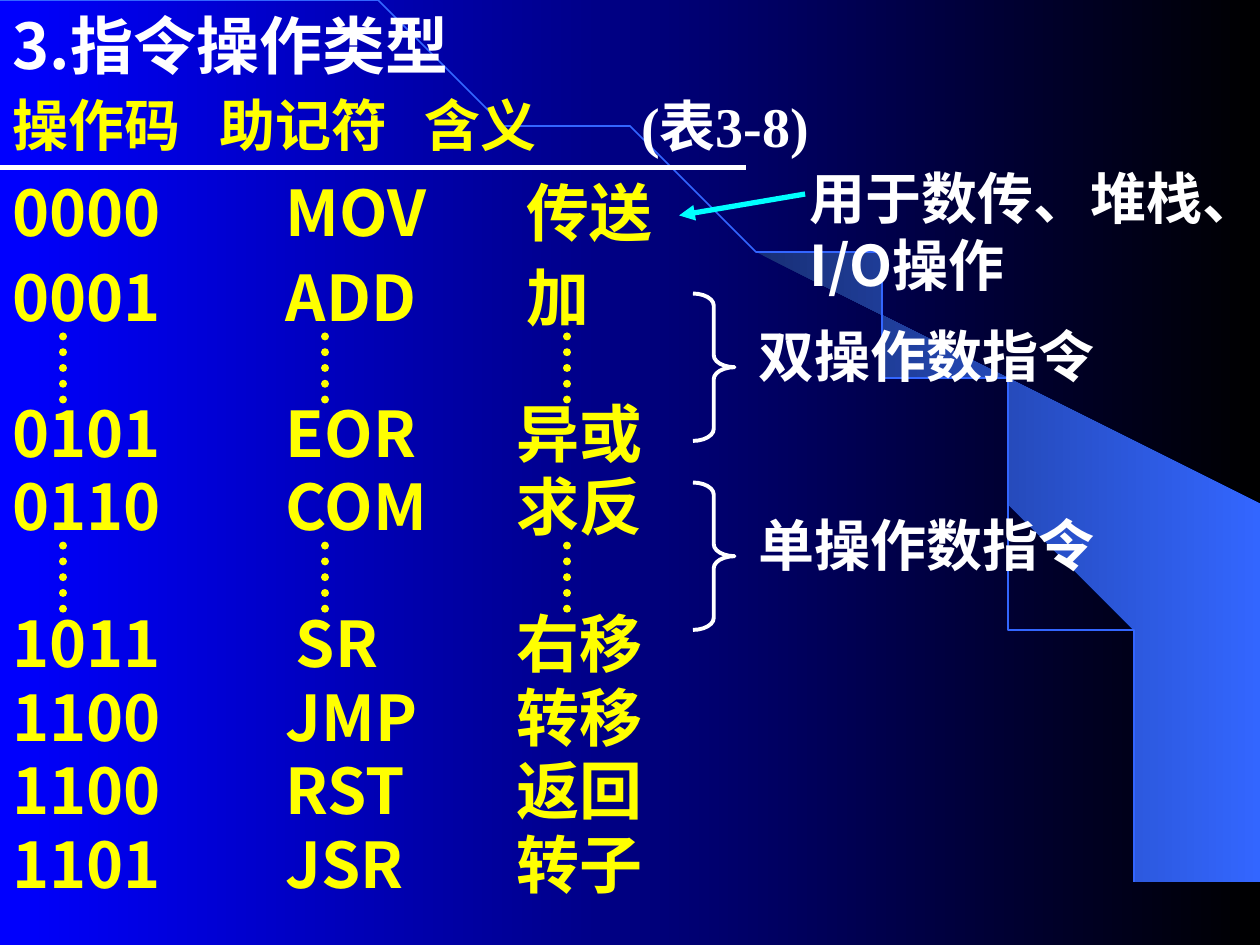
from math import cos, pi, sin

from lxml.etree import SubElement
from pptx import Presentation
from pptx.dml.color import RGBColor
from pptx.enum.dml import MSO_LINE
from pptx.enum.shapes import MSO_CONNECTOR as CONNECTOR, MSO_SHAPE as SHAPE
from pptx.enum.text import MSO_ANCHOR, PP_ALIGN
from pptx.oxml.ns import qn
from pptx.util import Inches, Pt

SANS, SERIF = "Noto Sans CJK SC", "Times New Roman"
YELLOW, WHITE, CYAN, BLUE = "FFFF00", "FFFFFF", "00FFFF", "3366FF"
CODE_LEFT, MNEMONIC_LEFT, MEANING_LEFT = 0, 2.17, 4
ROW_STEP = 7 / 12
DOTS_HEIGHT = 0.58

# Top of the first row, distance between rows, rows of code, mnemonic and meaning
ROW_GROUPS = [
    (1.33, 0.67, [("0000", "MOV", "传送"), ("0001", "ADD", "加")]),
    (3.08, ROW_STEP, [("0101", "EOR", "异或"), ("0110", "COM", "求反")]),
    (4.75, ROW_STEP, [("1011", "SR", "右移"), ("1100", "JMP", "转移"),
                      ("1100", "RST", "返回"), ("1101", "JSR", "转子")]),
]
# Exceptions to the column positions
INDENTS = {"SR": 0.08, "传送": 0.08, "加": 0.08}

SWOOSH = [
    (9.2, 7.48), (9.99, 7.49), (9.99, 4.23), (5.89, 1.73), (6.24, 1.99), (6.53, 2.22),
    (6.85, 2.5), (7.16, 2.8), (7.62, 3.3), (8.03, 3.84), (8.32, 4.31), (8.58, 4.79),
    (8.78, 5.28), (8.93, 5.72), (9.03, 6.09), (9.13, 6.56), (9.17, 6.96), (9.2, 7.48),
]


def color(value):
    return RGBColor.from_string(value)


def paint_gradient(fill, start, end):
    fill.gradient()
    fill.gradient_angle = 0
    for stop, value in zip(fill.gradient_stops, (start, end)):
        stop.color.rgb = color(value)


def write_text(box, text, size, hue, font=SANS, tabs=()):
    frame = box.text_frame
    frame.word_wrap = True
    frame.vertical_anchor = MSO_ANCHOR.TOP
    para = frame.paragraphs[0]
    para.alignment = PP_ALIGN.LEFT
    if tabs:
        tab_list = SubElement(para._p.get_or_add_pPr(), qn("a:tabLst"))
        for stop in tabs:
            SubElement(tab_list, qn("a:tab"), pos=str(Inches(stop)), algn="l")
    span = para.add_run()
    span.text = text
    for name, value in {"size": Pt(size), "bold": True, "name": font}.items():
        setattr(span.font, name, value)
    span.font.color.rgb = color(hue)
    SubElement(span._r.get_or_add_rPr(), qn("a:ea"), typeface=SANS)


def add_text(page, left, top, width, height, text, size, hue, **style):
    box = page.shapes.add_textbox(*map(Inches, (left, top, width, height)))
    write_text(box, text, size, hue, **style)


def add_line(page, start, end, hue, width):
    line = page.shapes.add_connector(CONNECTOR.STRAIGHT, *map(Inches, (*start, *end)))
    line.line.color.rgb = color(hue)
    line.line.width = Pt(width)
    SubElement(line._element.spPr, qn("a:effectLst"))
    return line


def add_outline(page, points, close):
    builder = page.shapes.build_freeform(*points[0], scale=Inches(1))
    builder.add_line_segments(points[1:], close=close)
    shape = builder.convert_to_shape()
    shape.shadow.inherit = False
    return shape


def add_backdrop(page):
    paint_gradient(page.background.fill, "0000FF", "000000")
    swoosh = add_outline(page, SWOOSH, True)
    paint_gradient(swoosh.fill, "182F76", BLUE)
    swoosh.line.fill.background()

    width, height, steps = 9.2, 7.49, 60
    angles = [pi / 2 * step / steps for step in range(steps + 1)]
    arc = add_outline(page, [(width * sin(a), height * (1 - cos(a))) for a in angles], False)
    arc.fill.background()
    arc.line.color.rgb = color(BLUE)
    arc.line.width = Pt(1)


def add_heading(page):
    title = page.shapes.title
    box = {"left": 0, "top": 0, "width": 5.42, "height": 0.7}
    for name, value in box.items():
        setattr(title, name, Inches(value))
    write_text(title, "3.指令操作类型", 36, WHITE)
    title.element.getparent().append(title.element)  # in front of the backdrop

    add_text(page, 0, 0.67, 6.83, 0.64, "操作码\t助记符\t含义", 32, YELLOW, tabs=(1.64, 3.27))
    add_text(page, 4.99, 0.68, 2.16, 0.64, "(表3-8)", 32, WHITE, font=SERIF)
    add_line(page, (0, 1.33), (5.92, 1.33), WHITE, 3)


def add_dots(page, top):
    for left in (0.5, 2.58, 4.5):
        dots = add_line(page, (left, top), (left, top + DOTS_HEIGHT), YELLOW, 4.5)
        dots.line.dash_style = MSO_LINE.ROUND_DOT
        dots.line._get_or_add_ln().set("cap", "rnd")


def add_instructions(page):
    columns = [(CODE_LEFT, 1.83), (MNEMONIC_LEFT, 1.42), (MEANING_LEFT, 1.75)]
    for first_top, step, rows in ROW_GROUPS:
        for index, row in enumerate(rows):
            for (left, width), text in zip(columns, row):
                add_text(page, left + INDENTS.get(text, 0), first_top + index * step,
                         width, 0.7, text, 36, YELLOW)
    for top in (2.67, 4.33):
        add_dots(page, top)


def add_braced_note(page, top, text):
    brace = page.shapes.add_shape(SHAPE.RIGHT_BRACE, *map(Inches, (5.5, top, 0.33, 1.17)))
    brace.adjustments[0] = 0.29
    brace.shadow.inherit = False
    brace.fill.background()
    brace.line.color.rgb = color(WHITE)
    brace.line.width = Pt(2.25)
    add_text(page, 5.92, top + 0.17, 3.67, 0.64, text, 32, WHITE)


def add_notes(page):
    add_text(page, 6.33, 1.25, 3.67, 1.17, "用于数传、堆栈、I/O操作", 32, WHITE)
    arrow = add_line(page, (5.39, 1.71), (6.39, 1.54), CYAN, 3)
    SubElement(arrow.line._get_or_add_ln(), qn("a:headEnd"), type="triangle")
    add_braced_note(page, 2.33, "双操作数指令")
    add_braced_note(page, 3.83, "单操作数指令")


def main():
    deck = Presentation()
    deck.slide_width, deck.slide_height = Inches(10), Inches(7.5)
    page = deck.slides.add_slide(deck.slide_layouts[5])
    add_backdrop(page)
    add_heading(page)
    add_instructions(page)
    add_notes(page)
    deck.save("out.pptx")


if __name__ == "__main__":
    main()
